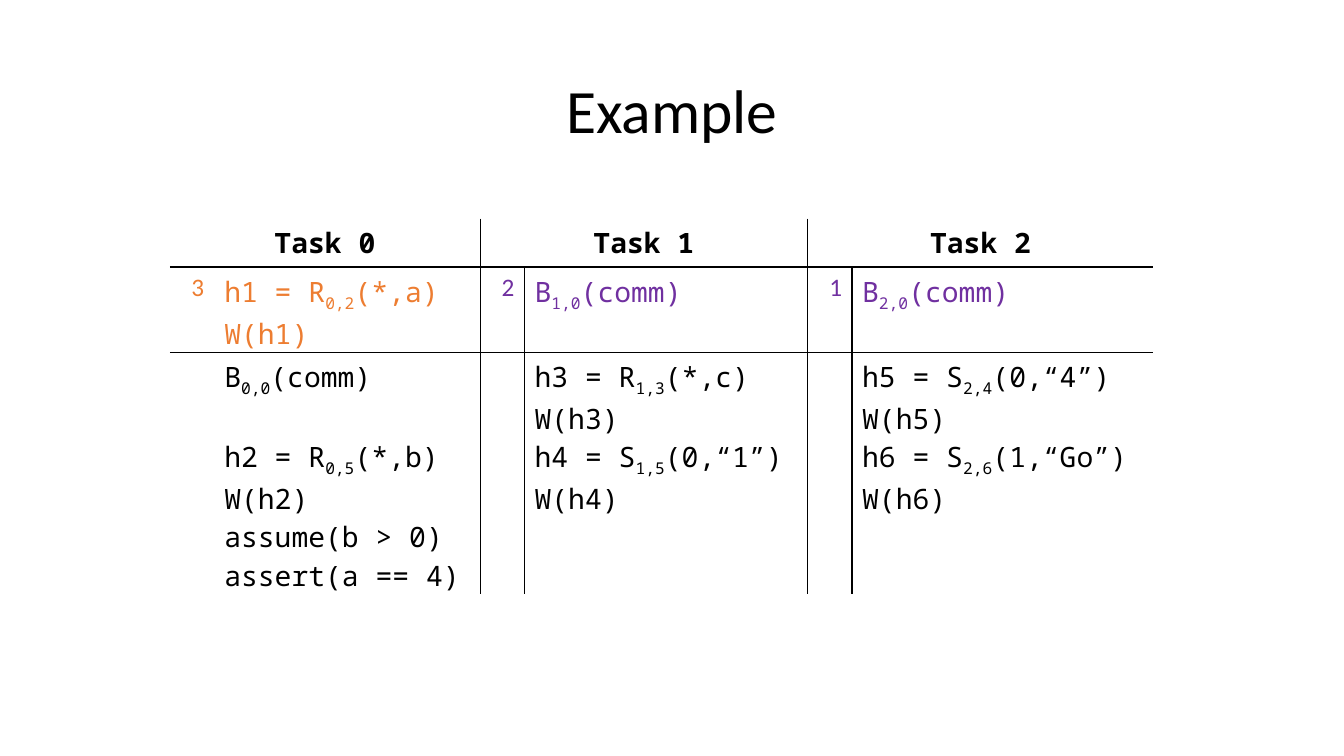
from dataclasses import dataclass

from pptx import Presentation
from pptx.dml.color import RGBColor
from pptx.enum.text import MSO_ANCHOR, PP_ALIGN
from pptx.oxml.ns import qn
from pptx.table import Table, _Cell as Cell
from pptx.text.text import _Paragraph as Paragraph
from pptx.util import Pt
from lxml.etree import SubElement

BLACK = RGBColor(0x00, 0x00, 0x00)
WHITE = RGBColor(0xFF, 0xFF, 0xFF)
ORANGE = RGBColor(0xED, 0x7D, 0x31)
PURPLE = RGBColor(0x70, 0x30, 0xA0)
CODE_FONT = "Noto Sans Mono"
LABEL_FONT = "Calibri"
NO_STYLE = "{2D5ABB26-0587-4C30-8999-92F81FD0307C}"
STEP_WIDTH = 31.7
ROW_HEIGHTS = (20.9, 34.6, 34.6, 31, 50.4)
TOP_MARGINS = (3.6, 3.6, 3.6, 0, 0)


@dataclass(frozen=True)
class Call:
    name: str
    index: str = ""
    arguments: str = ""


@dataclass(frozen=True)
class Task:
    title: str
    step: str
    color: RGBColor
    code_width: float
    blocks: tuple[tuple[Call, ...], ...]


TASKS = (
    Task("Task 0", "3", ORANGE, 190, (
        (Call("h1 = R", "0,2", "(*,a)"), Call("W(h1)")),
        (Call("B", "0,0", "(comm)"),),
        (Call("h2 = R", "0,5", "(*,b)"), Call("W(h2)")),
        (Call("assume(b > 0)"), Call("assert(a == 4)")),
    )),
    Task("Task 1", "2", PURPLE, 202.3, (
        (Call("B", "1,0", "(comm)"),),
        (Call("h3 = R", "1,3", "(*,c)"), Call("W(h3)")),
        (Call("h4 = S", "1,5", "(0,“1”)"), Call("W(h4)")),
    )),
    Task("Task 2", "1", PURPLE, 215.3, (
        (Call("B", "2,0", "(comm)"),),
        (Call("h5 = S", "2,4", "(0,“4”)"), Call("W(h5)")),
        (Call("h6 = S", "2,6", "(1,“Go”)"), Call("W(h6)")),
    )),
)


def write(line: Paragraph, text: str, font: str, size: float, color: RGBColor,
          bold: bool = False, subscript: bool = False) -> None:
    run = line.add_run()
    run.text = text
    run.font.name = font
    run.font.size = Pt(size)
    run.font.color.rgb = color
    run.font.bold = bold
    if subscript:
        run.font._element.set("baseline", "-25000")


def write_block(cell: Cell, calls: tuple[Call, ...], color: RGBColor) -> None:
    frame = cell.text_frame
    for number, call in enumerate(calls):
        line = frame.add_paragraph() if number else frame.paragraphs[0]
        write(line, call.name, CODE_FONT, 20, color)
        if call.index:
            write(line, call.index, CODE_FONT, 20, color, subscript=True)
            write(line, call.arguments, CODE_FONT, 20, color)


def add_border(cell: Cell, side: str) -> None:
    properties = cell._tc.get_or_add_tcPr()
    border = SubElement(properties, qn(f"a:ln{side}"), w=str(Pt(1)))
    fill = SubElement(border, qn("a:solidFill"))
    SubElement(fill, qn("a:srgbClr"), val=str(BLACK))


def style_cell(table: Table, row: int, column: int) -> None:
    cell = table.cell(row, column)
    last = len(table.columns) - 1
    closes_task = column % 2 == 1 or row == 0
    sides = {
        "L": column % 2 == 0 and column > 0,
        "R": closes_task and column < last - (row == 0),
        "T": row == 1,
        "B": row == 0,
    }
    for side, drawn in sides.items():
        if drawn:
            add_border(cell, side)
    cell.fill.solid()
    cell.fill.fore_color.rgb = WHITE
    if row and cell.text_frame.text:
        cell.margin_top = Pt(TOP_MARGINS[row])
        cell.margin_bottom = Pt(0)


def fill_task(table: Table, task: Task, column: int) -> None:
    table.columns[column].width = Pt(STEP_WIDTH)
    table.columns[column + 1].width = Pt(task.code_width)

    header = table.cell(0, column)
    header.merge(table.cell(0, column + 1))
    heading = header.text_frame.paragraphs[0]
    heading.alignment = PP_ALIGN.CENTER
    write(heading, task.title, CODE_FONT, 20, BLACK, bold=True)

    step = table.cell(1, column).text_frame.paragraphs[0]
    step.alignment = PP_ALIGN.RIGHT
    write(step, task.step, LABEL_FONT, 18, task.color)

    for row, calls in enumerate(task.blocks, start=1):
        color = task.color if row == 1 else BLACK
        write_block(table.cell(row, column + 1), calls, color)


presentation = Presentation()
presentation.slide_width, presentation.slide_height = Pt(960), Pt(540)
slide = presentation.slides.add_slide(presentation.slide_layouts[5])

title = slide.shapes.title
title.left, title.top, title.width, title.height = Pt(66), Pt(28.8), Pt(828), Pt(104.4)
title.text_frame.text = "Example"
title.text_frame.vertical_anchor = MSO_ANCHOR.MIDDLE
title_line = title.text_frame.paragraphs[0]
title_line.alignment = PP_ALIGN.CENTER
title_line.line_spacing = 0.9
title_font = title_line.runs[0].font
title_font.name, title_font.size = LABEL_FONT, Pt(44)
title_font.color.rgb = BLACK

schedule_width = sum(STEP_WIDTH + task.code_width for task in TASKS)
schedule = slide.shapes.add_table(
    len(ROW_HEIGHTS), 2 * len(TASKS), Pt(121.3), Pt(156.2), Pt(schedule_width), Pt(232.6))
table = schedule.table
table.first_row = table.horz_banding = False
table._tbl.tblPr.find(qn("a:tableStyleId")).text = NO_STYLE

for row, height in enumerate(ROW_HEIGHTS):
    table.rows[row].height = Pt(height)
for number, task in enumerate(TASKS):
    fill_task(table, task, 2 * number)
for row in range(len(table.rows)):
    for column in range(len(table.columns)):
        style_cell(table, row, column)
schedule.height = Pt(232.6)

presentation.save("out.pptx")
